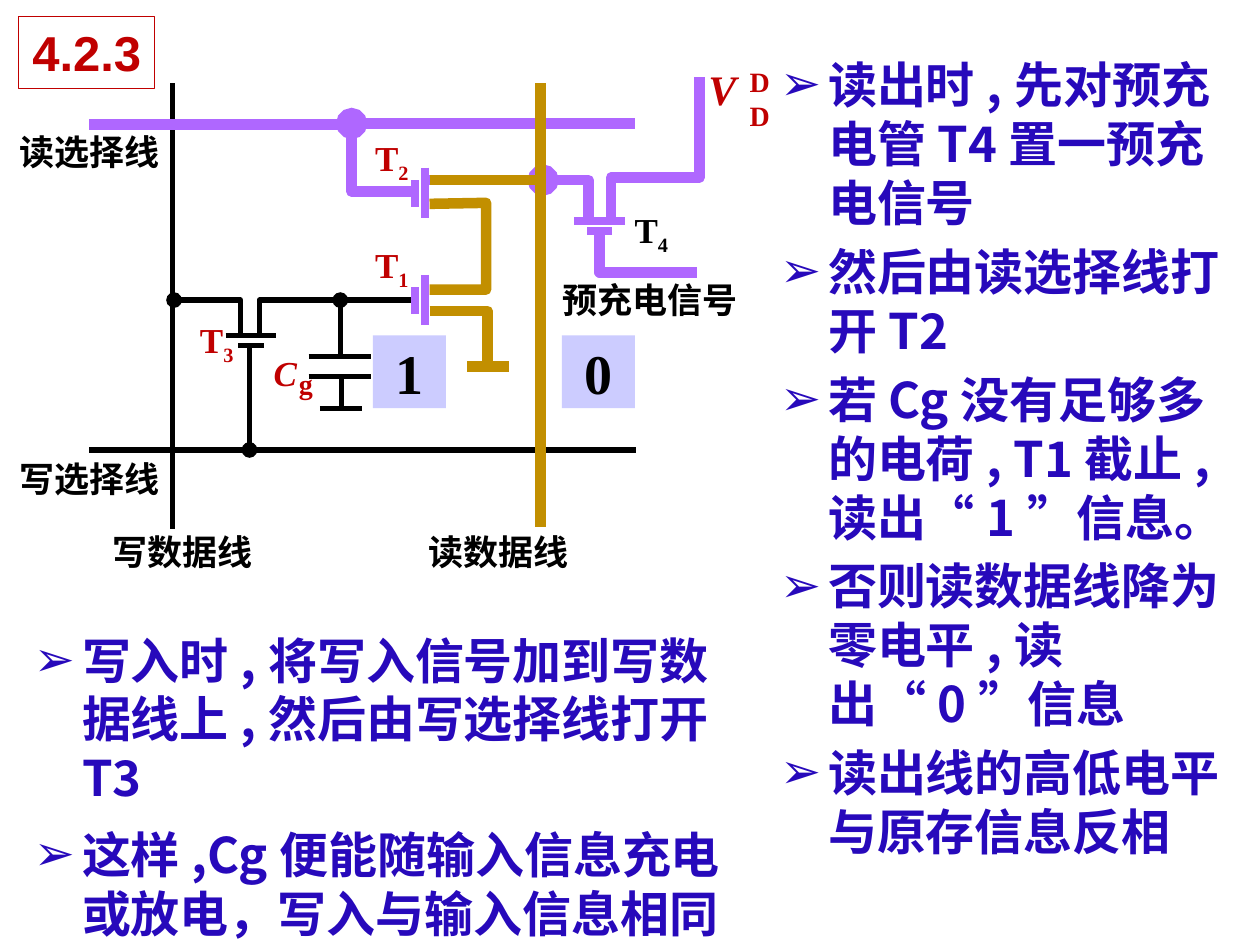
"""Build the slide on reading and writing a dynamic memory cell."""
from lxml import etree
from pptx import Presentation
from pptx import util as u
from pptx.dml.color import RGBColor
from pptx.enum import lang, shapes, text
from pptx.oxml import ns

COLORS = {"ink": "000000", "red": "C00000", "blue": "2709BB", "purple": "AF67FF",
          "gold": "C28F00", "lilac": "CCCCFF", "white": "FFFFFF"}
SERIF, SANS, CJK = "Times New Roman", "Arial", "Noto Sans CJK SC"


def rgb(color):
    return RGBColor.from_string(COLORS[color])


class CellSlide:
    def __init__(self, slide):
        self.slide = slide

    def place(self, item, left, top, width, height):
        item.left, item.top = u.Cm(left), u.Cm(top)
        item.width, item.height = u.Cm(width), u.Cm(height)

    def run(self, paragraph, words, size, color, font=SERIF, italic=False, sub=False):
        run = paragraph.add_run()
        run.text = words
        run.font.size, run.font.name = u.Pt(size), font
        run.font.bold, run.font.italic = True, italic
        run.font.color.rgb = rgb(color)
        run.font.language_id = lang.MSO_LANGUAGE_ID.SIMPLIFIED_CHINESE
        props = run.font._element
        if sub:
            props.set("baseline", "-25000")
        props.find(ns.qn("a:latin")).addnext(
            etree.Element(ns.qn("a:ea"), typeface=CJK))

    def title(self, words, *box):
        heading = self.slide.shapes.title
        self.place(heading, *box)
        heading.fill.solid()
        heading.fill.fore_color.rgb = rgb("white")
        heading.line.color.rgb = rgb("red")
        heading.line.width = u.Pt(0.75)
        frame = heading.text_frame
        frame.auto_size, frame.word_wrap = text.MSO_AUTO_SIZE.NONE, False
        self.run(frame.paragraphs[0], words, 28, "red", SANS)

    def bullets(self, index, items, gap, *box):
        body = self.slide.placeholders[index]
        self.place(body, *box)
        frame = body.text_frame
        frame.auto_size = text.MSO_AUTO_SIZE.NONE
        frame.vertical_anchor = text.MSO_ANCHOR.TOP
        for number, item in enumerate(items):
            paragraph = frame.add_paragraph() if number else frame.paragraphs[0]
            props = paragraph._p.get_or_add_pPr()
            props.set("marL", str(u.Cm(0.97)))
            props.set("indent", str(u.Cm(-0.97)))
            tint = etree.SubElement(props, ns.qn("a:buClr"))
            etree.SubElement(tint, ns.qn("a:srgbClr"), val=COLORS["blue"])
            etree.SubElement(props, ns.qn("a:buChar"), char="➢")
            paragraph.line_spacing = u.Pt(33.7)
            paragraph.space_before = u.Pt(gap if number else 0)
            self.run(paragraph, item, 28, "blue", CJK)

    def label(self, left, top, width, words, color="ink", size=20, sub="", **style):
        box = self.slide.shapes.add_textbox(
            u.Cm(left), u.Cm(top), u.Cm(width), u.Cm(1.1))
        frame = box.text_frame
        frame.word_wrap = False
        frame.vertical_anchor = text.MSO_ANCHOR.MIDDLE
        paragraph = frame.paragraphs[0]
        paragraph.alignment = text.PP_ALIGN.CENTER
        self.run(paragraph, words, size, color, **style)
        if sub:
            self.run(paragraph, sub, size, color, sub=True)

    def state(self, left, top, bit):
        tile = self.slide.shapes.add_shape(
            shapes.MSO_SHAPE.RECTANGLE, u.Cm(left), u.Cm(top), u.Cm(1.47), u.Cm(1.47))
        tile.shadow.inherit = False
        tile.fill.solid()
        tile.fill.fore_color.rgb = rgb("lilac")
        tile.line.fill.background()
        frame = tile.text_frame
        frame.word_wrap = False
        frame.paragraphs[0].alignment = text.PP_ALIGN.CENTER
        self.run(frame.paragraphs[0], bit, 32, "ink")

    def wire(self, color, width, *points, dot=None):
        points = [(u.Cm(x), u.Cm(y)) for x, y in points]
        if len(points) == 2:
            trace = self.slide.shapes.add_connector(
                shapes.MSO_CONNECTOR.STRAIGHT, *points[0], *points[1])
            etree.SubElement(trace._element.spPr, ns.qn("a:effectLst"))
        else:
            builder = self.slide.shapes.build_freeform(*points[0])
            builder.add_line_segments(points[1:], close=False)
            trace = builder.convert_to_shape()
            trace.shadow.inherit = False
            trace.fill.background()
        trace.line.color.rgb = rgb(color)
        trace.line.width = u.Pt(width)
        if dot:
            etree.SubElement(trace.line._ln, ns.qn(f"a:{dot}End"), type="oval")


def draw_write_circuit(cell):
    for points, dot in [
        ([(1.8, 9.07), (12.83, 9.07)], None),
        ([(3.48, 1.68), (3.48, 10.67)], None),
        ([(4.8, 6.96), (5.33, 6.96)], None),
        ([(4.55, 6.76), (5.56, 6.76)], None),
        ([(6.22, 7.19), (7.47, 7.19)], None),
        ([(6.22, 7.59), (7.47, 7.59)], None),
        ([(8.36, 6.05), (5.23, 6.05), (5.23, 6.73)], None),
        ([(6.86, 6.05), (6.86, 7.19)], "head"),
        ([(5.03, 7.01), (5.03, 9.07)], "tail"),
        ([(6.88, 7.59), (6.88, 8.23)], None),
        ([(6.45, 8.23), (7.29, 8.23)], None),
        ([(4.85, 6.76), (4.85, 6.05), (3.51, 6.05)], "tail"),
    ]:
        cell.wire("ink", 3, *points, dot=dot)


def draw_read_circuit(cell):
    cell.wire("purple", 4.5, (11.84, 4.65), (12.34, 4.65))
    cell.wire("purple", 4.5, (11.58, 4.45), (12.6, 4.45))
    for drop in (0, 2.16):
        cell.wire("purple", 4.5, (8.36, 3.63 + drop), (8.36, 4.17 + drop))
        cell.wire("purple", 4.5, (8.56, 3.38 + drop), (8.56, 4.39 + drop))
    for points, dot in [
        ([(12.09, 4.65), (12.09, 5.49), (14.05, 5.49)], None),
        ([(12.32, 4.39), (12.32, 3.58), (14.1, 3.58), (14.1, 1.55)], None),
        ([(10.95, 3.63), (11.86, 3.63), (11.86, 4.45)], None),
        ([(1.8, 2.51), (7.09, 2.51)], None),
        ([(8.56, 3.63), (10.95, 3.63)], "tail"),
        ([(7.09, 2.49), (7.09, 3.86), (8.38, 3.86)], "head"),
        ([(7.09, 2.49), (12.8, 2.49)], None),
    ]:
        cell.wire("purple", 6, *points, dot=dot)
    for points in [
        [(10.9, 1.68), (10.9, 10.62)],
        [(8.66, 3.63), (11, 3.63)],
        [(8.66, 4.11), (9.8, 4.09), (9.8, 5.84), (8.66, 5.84)],
        [(8.66, 6.27), (9.83, 6.27), (9.83, 7.39)],
        [(9.42, 7.39), (10.26, 7.39)],
    ]:
        cell.wire("gold", 6, *points)


def draw_labels(cell):
    for left, top, width, words in [
        (11.07, 5.49, 4.06, "预充电信号"), (0.13, 2.51, 3.35, "读选择线"),
        (2.01, 10.57, 3.35, "写数据线"), (0.13, 9.1, 3.35, "写选择线"),
        (8.38, 10.57, 3.35, "读数据线"),
    ]:
        cell.label(left, top, width, words)
    for left, top, number, color in [
        (7.29, 4.85, "1", "red"), (7.29, 2.69, "2", "red"),
        (3.76, 6.35, "3", "red"), (12.52, 4.14, "4", "ink"),
    ]:
        cell.label(left, top, 1.22, "T", color, sub=number)
    cell.label(14.02, 1.24, 1.09, "V", "red", 24, italic=True)
    cell.label(14.78, 1.43, 1.07, "DD", "red", 16, **{"sub": ""})
    cell.label(5.26, 6.96, 0.99, "C", "red", italic=True)
    cell.label(5.77, 7.18, 0.79, "g", "red", 16)


def main():
    deck = Presentation()
    deck.slide_width, deck.slide_height = u.Cm(25.4), u.Cm(19.05)
    cell = CellSlide(deck.slides.add_slide(deck.slide_layouts[3]))
    cell.title("4.2.3", 0.38, 0.33, 2.74, 1.45)
    cell.bullets(1, ["写入时,将写入信号加到写数据线上,然后由写选择线打开T3",
                     "这样,Cg便能随输入信息充电或放电，写入与输入信息相同"],
                 10, 0.43, 12.57, 14.91, 5.54)
    cell.bullets(2, ["读出时,先对预充电管T4置一预充电信号",
                     "然后由读选择线打开T2",
                     "若Cg没有足够多的电荷, T1截止,读出“1”信息。",
                     "否则读数据线降为零电平,读出“0”信息",
                     "读出线的高低电平与原存信息反相"],
                 5.6, 15.47, 0.97, 9.42, 17.2)
    draw_write_circuit(cell)
    draw_read_circuit(cell)
    cell.state(7.52, 6.76, "1")
    cell.state(11.33, 6.76, "0")
    draw_labels(cell)
    deck.save("out.pptx")


if __name__ == "__main__":
    main()
